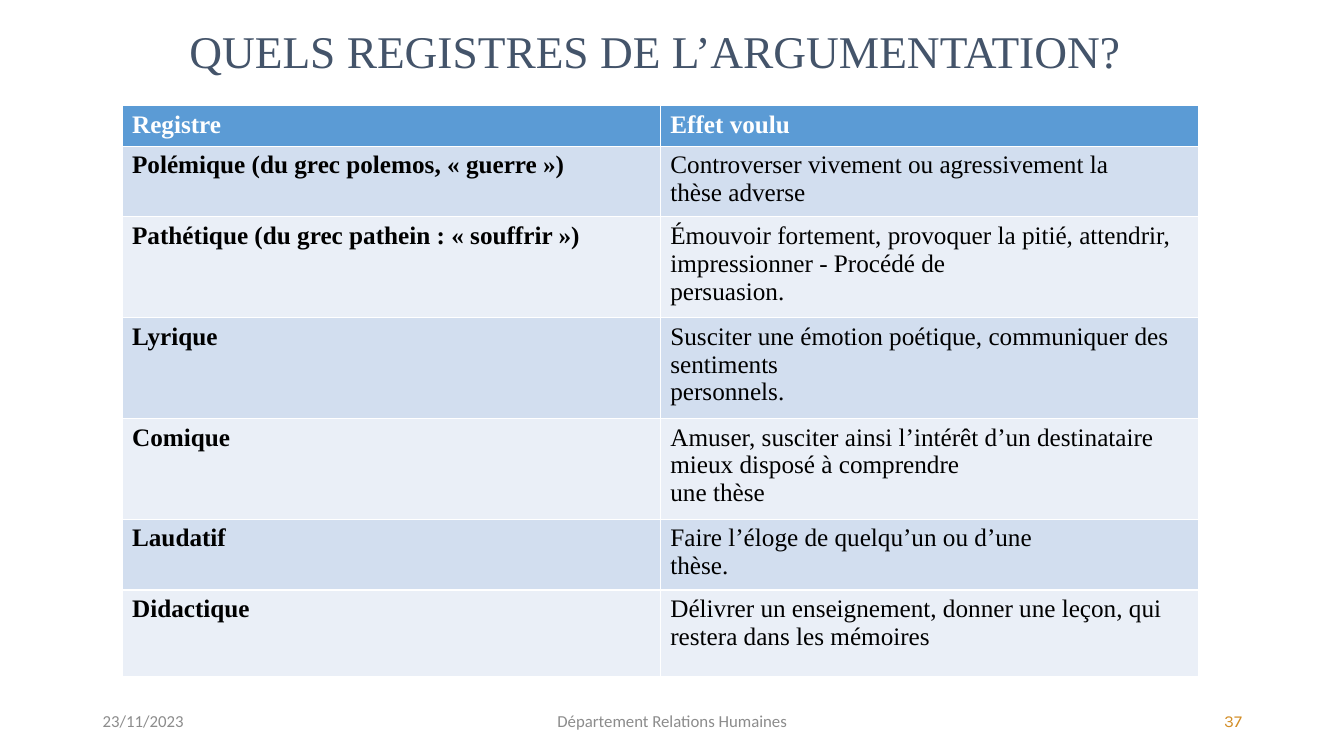
import pptx
import pptx.util
import pptx.dml.color
import pptx.enum.text

WIDE, HIGH = pptx.util.Inches(13.33), pptx.util.Inches(7.5)
SERIF = "Times New Roman"
GREY = "8C8C8C"
HEAD = "5B9BD5"
BANDS = ["D2DEEF", "EAEFF7"]
LEFT, MID, RIGHT = (
    pptx.enum.text.PP_ALIGN.LEFT,
    pptx.enum.text.PP_ALIGN.CENTER,
    pptx.enum.text.PP_ALIGN.RIGHT,
)
ROWS = [
    ("Registre", "Effet voulu", 4.67),
    ("Polémique (du grec polemos, « guerre »)",
     "Controverser vivement ou agressivement la\nthèse adverse", 8),
    ("Pathétique (du grec pathein : « souffrir »)",
     "Émouvoir fortement, provoquer la pitié, attendrir, "
     "impressionner - Procédé de\npersuasion.", 11.47),
    ("Lyrique",
     "Susciter une émotion poétique, communiquer des sentiments\npersonnels.", 11.47),
    ("Comique",
     "Amuser, susciter ainsi l’intérêt d’un destinataire "
     "mieux disposé à comprendre\nune thèse", 11.47),
    ("Laudatif", "Faire l’éloge de quelqu’un ou d’une\nthèse.", 8),
    ("Didactique",
     "Délivrer un enseignement, donner une leçon, qui restera dans les mémoires", 11.47),
]


def across(share):
    return int(WIDE * share / 100)


def down(share):
    return int(HIGH * share / 100)


def color(code):
    return pptx.dml.color.RGBColor.from_string(code)


def style(para, face, size, code, bold=False):
    font = para.font
    font.name, font.size, font.bold = face, pptx.util.Pt(size), bold
    font.color.rgb = color(code)


def label(slide, text, left, top, width, height, face, size, code, align=LEFT):
    box = slide.shapes.add_textbox(across(left), down(top), across(width), down(height))
    frame = box.text_frame
    frame.word_wrap = True
    frame.vertical_anchor = pptx.enum.text.MSO_ANCHOR.MIDDLE
    frame.text = text
    para = frame.paragraphs[0]
    para.alignment = align
    style(para, face, size, code)
    return para


def fill(cell, text, back, code, bold):
    cell.fill.solid()
    cell.fill.fore_color.rgb = color(back)
    cell.text = text
    for para in cell.text_frame.paragraphs:
        style(para, SERIF, 18, code, bold)


def grid(slide, rows, left, top, width):
    high = sum(row[2] for row in rows)
    frame = slide.shapes.add_table(
        len(rows), 2, across(left), down(top), across(width), down(high))
    table = frame.table
    for i, (name, goal, tall) in enumerate(rows):
        table.rows[i].height = down(tall)
        first = i == 0
        back = HEAD if first else BANDS[(i - 1) % 2]
        code = "FFFFFF" if first else "000000"
        fill(table.cell(i, 0), name, back, code, True)
        fill(table.cell(i, 1), goal, back, code, first)


def main():
    """Build the slide on the registers of argument."""
    deck = pptx.Presentation()
    deck.slide_width, deck.slide_height = WIDE, HIGH
    slide = deck.slides.add_slide(deck.slide_layouts[6])
    title = label(slide, "QUELS REGISTRES DE L’ARGUMENTATION?",
                  13.35, 1.47, 73.3, 11.33, SERIF, 32.4, "44546A")
    title.line_spacing = 0.9
    grid(slide, ROWS, 9.08, 14, 80.1)
    for text, left, width, face, code, align in [
        ("23/11/2023", 6.9, 22.5, "Calibri", GREY, LEFT),
        ("Département Relations Humaines", 33.15, 33.75, "Calibri", GREY, MID),
        ("37", 70.65, 22.5, "Karla", "D38E27", RIGHT),
    ]:
        label(slide, text, left, 92.67, width, 5.33, face, 12, code, align)
    deck.save("out.pptx")


if __name__ == "__main__":
    main()
